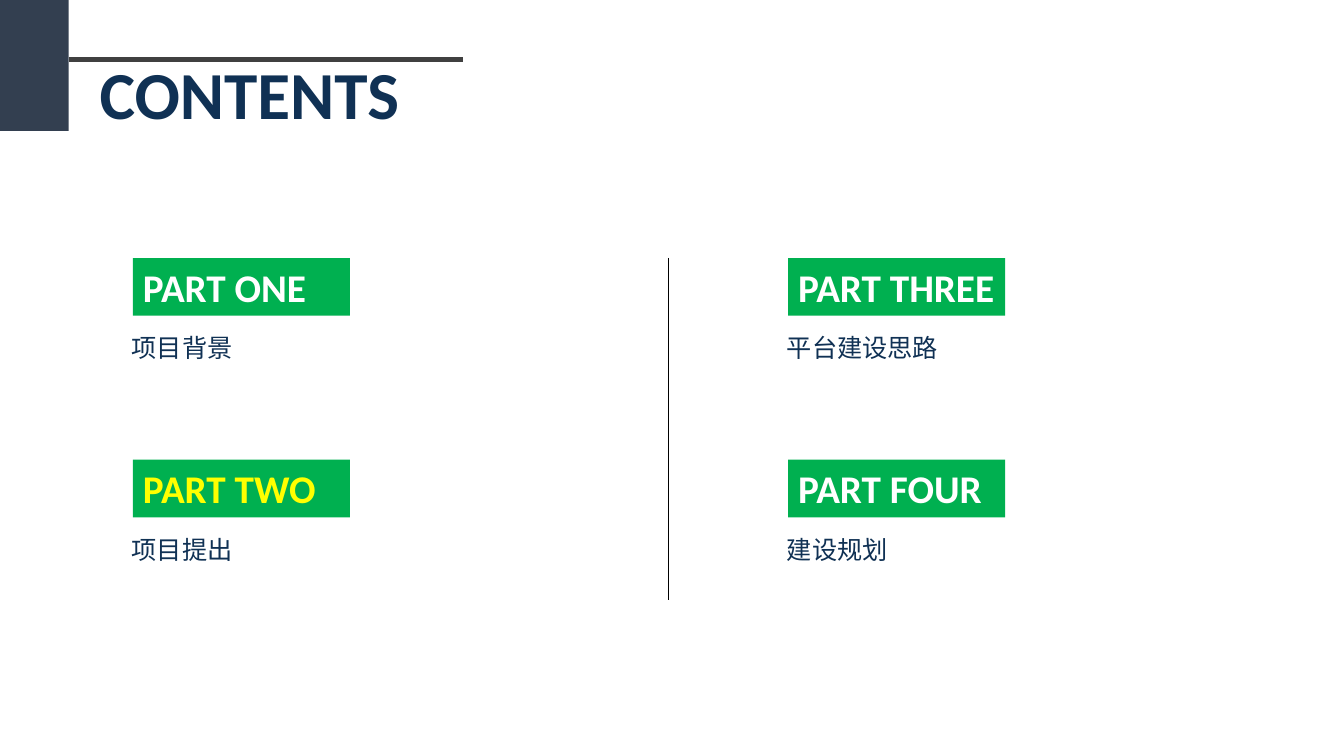
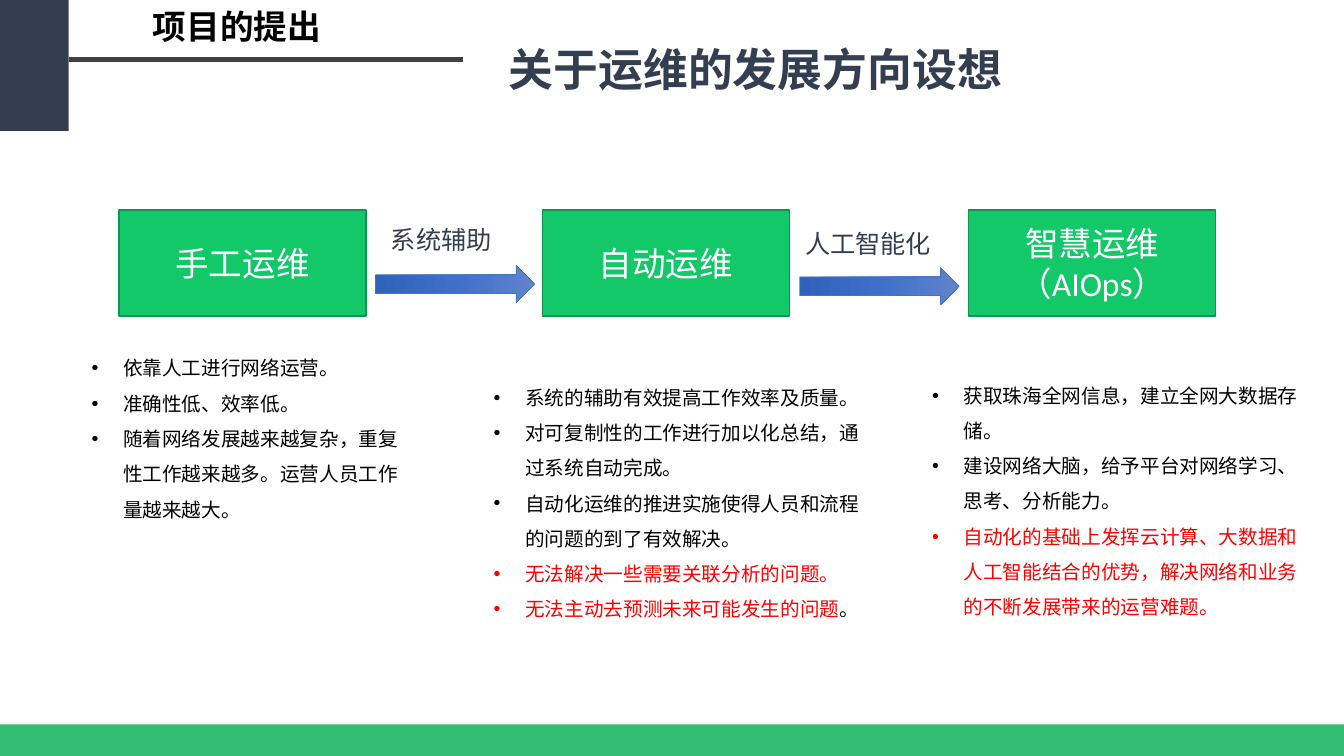
from copy import deepcopy
from dataclasses import dataclass

from lxml.etree import SubElement
from pptx import Presentation
from pptx.dml.color import RGBColor
from pptx.enum.shapes import MSO_CONNECTOR, MSO_SHAPE
from pptx.enum.text import MSO_ANCHOR, PP_ALIGN
from pptx.oxml.ns import qn
from pptx.util import Pt

COLORS = {
    "slate": "333F50", "rule": "404040", "navy": "103154", "tag": "00B050",
    "stage": "12C869", "stage_edge": "0D944E", "white": "FFFFFF",
    "yellow": "FFFF00", "red": "FF0000", "black": "000000",
    "arrow_edge": "4472C4", "arrow_dark": "3062BB", "arrow_mid": "3E70CA",
    "arrow_light": "6183CB",
}
LATIN, HAN = "Calibri", "Noto Sans CJK SC"
SLIDE_W, SLIDE_H = 960, 540
BAR_W, BAR_H = 49, 93.6
RULE_Y, RULE_END = 42.5, 331
STAGE_Y, STAGE_W, STAGE_H = 150, 176.4, 75.6
ARROW_W, ARROW_H = 113.8, 26.6
BULLET_INDENT = 22.5


@dataclass(frozen=True)
class Part:
    tag: str
    caption: str
    col: int
    row: int
    color: str = "white"


@dataclass(frozen=True)
class Stage:
    name: str
    x: float
    list_box: tuple[float, float, float, float]
    bullets: list  # a bullet is a string, or a list of (text, colour) runs


@dataclass(frozen=True)
class Step:
    label: str
    label_box: tuple[float, float, float, float]
    arrow_x: float
    arrow_y: float


PARTS = [
    Part("PART ONE", "项目背景", 0, 0),
    Part("PART TWO", "项目提出", 0, 1, "yellow"),
    Part("PART THREE", "平台建设思路", 1, 0),
    Part("PART FOUR", "建设规划", 1, 1),
]
STAGES = [
    Stage("手工运维", 85, (58.3, 242.6, 241.2, 144), [
        "依靠人工进行网络运营。",
        "准确性低、效率低。",
        "随着网络发展越来越复杂，重复性工作越来越多。运营人员工作量越来越大。",
    ]),
    Stage("自动运维", 387.4, (345.6, 263.5, 283, 185), [
        "系统的辅助有效提高工作效率及质量。",
        "对可复制性的工作进行加以化总结，通过系统自动完成。",
        "自动化运维的推进实施使得人员和流程的问题的到了有效解决。",
        [("无法解决一些需要关联分析的问题。", "red")],
        [("无法主动去预测未来可能发生的问题", "red"), ("。", "black")],
    ]),
    Stage("智慧运维（AIOps）", 692, (658.8, 262, 282.3, 185), [
        "获取珠海全网信息，建立全网大数据存储。",
        "建设网络大脑，给予平台对网络学习、思考、分析能力。",
        [("自动化的基础上发挥云计算、大数据和人工智能结合的优势，"
          "解决网络和业务的不断发展带来的运营难题。", "red")],
    ]),
]
STEPS = [
    Step("系统辅助", (272.2, 157, 91.4, 28.8), 268.2, 189.7),
    Step("人工智能化", (568, 159.8, 110.2, 28.8), 571.3, 191.2),
]


def rgb(name: str) -> RGBColor:
    return RGBColor.from_string(COLORS[name])


def write(sp, paragraphs, *, size: float, font: str = LATIN, color: str = "black",
          bold: bool = False, align=PP_ALIGN.LEFT, anchor=MSO_ANCHOR.TOP,
          spacing: float | None = None, bullet: bool = False) -> None:
    """Fill sp with a string, or with a list of strings and run lists."""
    tf = sp.text_frame
    tf.word_wrap = True
    tf.vertical_anchor = anchor
    if isinstance(paragraphs, str):
        paragraphs = [paragraphs]
    for i, runs in enumerate(paragraphs):
        p = tf.add_paragraph() if i else tf.paragraphs[0]
        p.alignment = align
        if spacing:
            p.line_spacing = spacing
        if bullet:
            add_bullet(p)
        for text, run_color in [(runs, color)] if isinstance(runs, str) else runs:
            r = p.add_run()
            r.text = text
            r.font.size = Pt(size)
            r.font.bold = bold
            r.font.name = font
            r.font.color.rgb = rgb(run_color)
            SubElement(r._r.get_or_add_rPr(), qn("a:ea"), typeface=font)


def add_bullet(p) -> None:
    pPr = p._p.get_or_add_pPr()
    pPr.set("marL", str(Pt(BULLET_INDENT)))
    pPr.set("indent", str(-Pt(BULLET_INDENT)))
    SubElement(pPr, qn("a:buFont"), typeface="Arial")
    SubElement(pPr, qn("a:buChar"), char="•")


def add_text(s, box: tuple[float, float, float, float], paragraphs, **fmt) -> None:
    sp = s.shapes.add_textbox(*map(Pt, box))
    write(sp, paragraphs, **fmt)


def add_box(s, box: tuple[float, float, float, float], fill: str | None,
            kind=MSO_SHAPE.RECTANGLE, edge: str | None = None, edge_w: float = 1):
    sp = s.shapes.add_shape(kind, *map(Pt, box))
    sp.shadow.inherit = False
    if fill:
        sp.fill.solid()
        sp.fill.fore_color.rgb = rgb(fill)
    if edge:
        sp.line.color.rgb = rgb(edge)
        sp.line.width = Pt(edge_w)
    else:
        sp.line.fill.background()
    return sp


def add_line(s, x1: float, y1: float, x2: float, y2: float,
             color: str, width: float) -> None:
    line = s.shapes.add_connector(MSO_CONNECTOR.STRAIGHT, Pt(x1), Pt(y1), Pt(x2), Pt(y2))
    line.line.color.rgb = rgb(color)
    line.line.width = Pt(width)
    SubElement(line._element.spPr, qn("a:effectLst"))


def add_arrow(s, x: float, y: float) -> None:
    """Right arrow shaded from dark to light."""
    sp = add_box(s, (x, y, ARROW_W, ARROW_H), None, MSO_SHAPE.RIGHT_ARROW,
                 "arrow_edge", 0.5)
    sp.fill.gradient()
    sp.fill.gradient_angle = 0
    first = sp._element.spPr.find(".//" + qn("a:gs"))
    first.addnext(deepcopy(first))
    shades = ("arrow_dark", "arrow_mid", "arrow_light")
    for stop, shade, position in zip(sp.fill.gradient_stops, shades, (0, 0.5, 1)):
        stop.color.rgb = rgb(shade)
        stop.position = position


def add_slide(prs):
    """Blank slide with the corner bar and the heading rule."""
    s = prs.slides.add_slide(prs.slide_layouts[6])
    add_box(s, (0, 0, BAR_W, BAR_H), "slate")
    add_line(s, BAR_W, RULE_Y, RULE_END, RULE_Y, "rule", 3)
    return s


def build_contents(prs) -> None:
    s = add_slide(prs)
    add_text(s, (64, 34, 240, 66), "CONTENTS", size=48, color="navy", bold=True)
    for part in PARTS:
        x, y = 95 + 468 * part.col, 184.3 + 144 * part.row
        tag = add_box(s, (x, y, 155, 41.2), "tag")
        write(tag, part.tag, size=28, color=part.color, bold=True)
        add_text(s, (x - 8, y + 43.2, 327, 33), part.caption,
                 size=18, font=HAN, color="navy", spacing=1.3)
    add_line(s, 477.5, 184.3, 477.5, 428.4, "black", 1)


def build_proposal(prs) -> None:
    s = add_slide(prs)
    add_text(s, (BAR_W, 0.7, 240.5, 36), "项目的提出",
             size=24, font=HAN, bold=True, align=PP_ALIGN.CENTER)
    footer = add_box(s, (0, 517.5, SLIDE_W, SLIDE_H - 517.5), "tag")
    fill_color = footer._element.spPr.find(qn("a:solidFill"))[0]
    SubElement(fill_color, qn("a:alpha"), val="80000")
    add_text(s, (356.4, 26.6, 376.6, 46), "关于运维的发展方向设想",
             size=32, color="slate", bold=True)
    for stage in STAGES:
        sp = add_box(s, (stage.x, STAGE_Y, STAGE_W, STAGE_H), "stage",
                     MSO_SHAPE.FLOWCHART_PROCESS, "stage_edge")
        write(sp, stage.name, size=24, color="white",
              align=PP_ALIGN.CENTER, anchor=MSO_ANCHOR.MIDDLE)
        add_text(s, stage.list_box, stage.bullets, size=14, spacing=1.5, bullet=True)
    for step in STEPS:
        add_arrow(s, step.arrow_x, step.arrow_y)
        add_text(s, step.label_box, step.label, size=18, color="slate")


def main() -> None:
    prs = Presentation()
    prs.slide_width, prs.slide_height = Pt(SLIDE_W), Pt(SLIDE_H)
    build_contents(prs)
    build_proposal(prs)
    prs.save("out.pptx")


if __name__ == "__main__":
    main()
